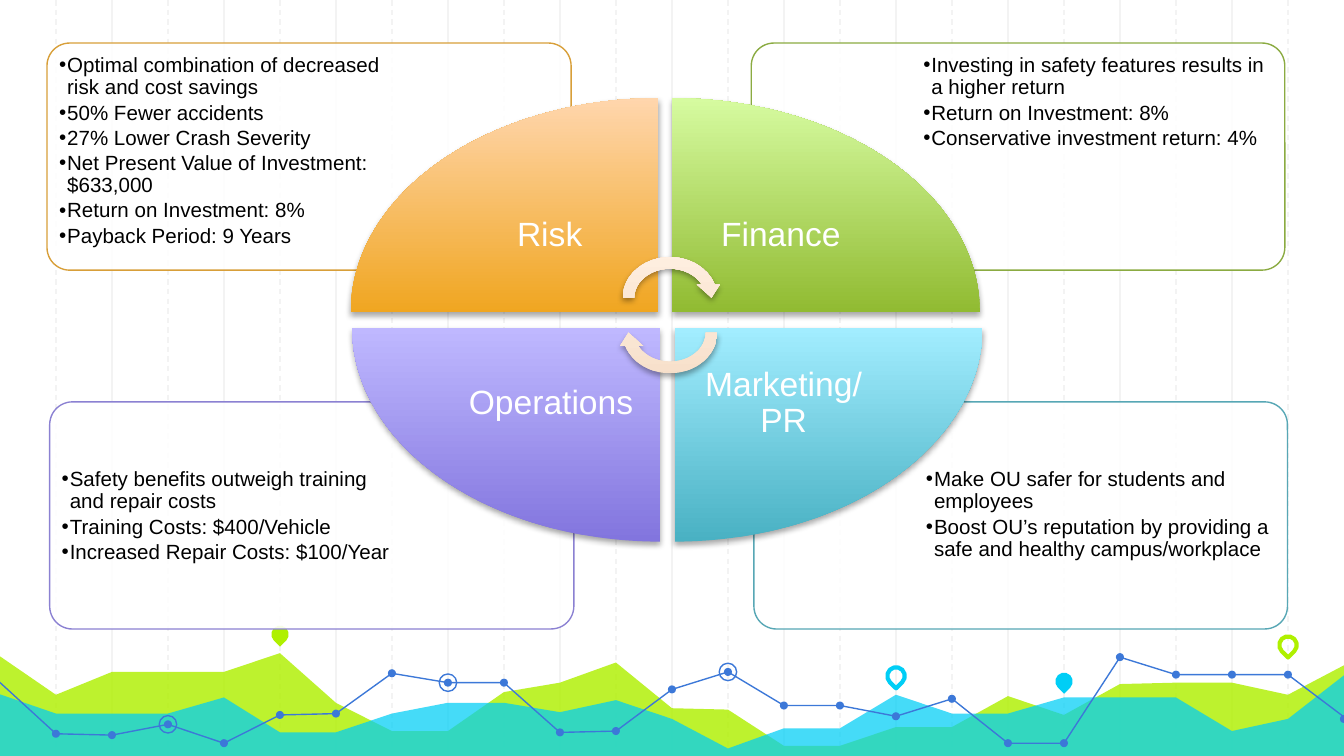
"""Build a slide on four benefits of safety features around a cycle."""
from lxml import etree
from pptx import Presentation
from pptx.dml.color import RGBColor
from pptx.enum.dml import MSO_LINE
from pptx.enum.shapes import MSO_CONNECTOR, MSO_SHAPE
from pptx.enum.text import MSO_ANCHOR, PP_ALIGN
from pptx.oxml.ns import qn
from pptx.util import Inches, Pt

STRAIGHT = MSO_CONNECTOR.STRAIGHT
ROUNDED, WEDGE = MSO_SHAPE.ROUNDED_RECTANGLE, MSO_SHAPE.PIE_WEDGE
ARROW, DROP, OVAL = MSO_SHAPE.CIRCULAR_ARROW, MSO_SHAPE.TEAR, MSO_SHAPE.OVAL
DASH = MSO_LINE.DASH
MIDDLE, TOP = MSO_ANCHOR.MIDDLE, MSO_ANCHOR.TOP
CENTER, LEFT = PP_ALIGN.CENTER, PP_ALIGN.LEFT

THEME = {
    "font": "Arial", "title_size": 18, "body_size": 11,
    "title": "FFFFFF", "body": "000000", "panel": "FFFFFF",
    "grid": "F3F3F3", "trend": "3C78D8", "lime": "AFF000", "cyan": "00CEF6",
    "arrow": ("F6DFC9", "FFEFE1"), "shadow": "000000",
}

QUADRANTS = [
    {"title": "Risk", "wedge": (2.61, 0.73), "turn": 0, "panel": (0.35, 0.32, 3.9),
     "outline": "D89F39", "shades": ("F0A621", "FFD6AD"),
     "points": ["Optimal combination of decreased risk and cost savings",
                "50% Fewer accidents", "27% Lower Crash Severity",
                "Net Present Value of Investment: $633,000",
                "Return on Investment: 8%", "Payback Period: 9 Years"]},
    {"title": "Finance", "wedge": (5, 0.73), "turn": 90, "panel": (5.59, 0.32, 3.97),
     "outline": "8BAB42", "shades": ("91BB32", "D6FBA0"),
     "points": ["Investing in safety features results in a higher return",
                "Return on Investment: 8%", "Conservative investment return: 4%"]},
    {"title": "Operations", "wedge": (2.62, 2.44), "turn": 270, "panel": (0.37, 2.99, 3.9),
     "outline": "8B81D2", "shades": ("8275DE", "BFB8FF"),
     "points": ["Safety benefits outweigh training and repair costs",
                "Training Costs: $400/Vehicle", "Increased Repair Costs: $100/Year"]},
    {"title": "Marketing/ PR", "wedge": (5.02, 2.44), "turn": 180, "panel": (5.61, 2.99, 3.97),
     "outline": "57A7B5", "shades": ("49B1C3", "A2EDFF"),
     "points": ["Make OU safer for students and employees",
                "Boost OU’s reputation by providing a safe and healthy campus/workplace"]},
]
HILLS = [
    ("lime", 82, [4.87, 5.17, 5, 5, 5, 4.86, 5.23, 5.44, 5.44, 5.15, 5.08, 4.93, 5.27,
                  5.28, 5.55, 5.55, 5.41, 5.41, 5.18, 5.32, 5.09, 5.08, 5.08, 5.17, 4.94]),
    ("cyan", 73, [5.16, 5.31, 5.31, 5.31, 5.19, 5.45, 5.45, 5.31, 5.23, 5.23, 5.3, 5.21, 5.35,
                  5.57, 5.42, 5.42, 5.17, 5.31, 5.31, 5.19, 5.19, 5.19, 5.44, 5.35, 5.01]),
]
TREND = [5.06, 5.46, 5.47, 5.39, 5.53, 5.32, 5.31, 5.01, 5.08, 5.08, 5.45, 5.44, 5.13,
         5, 5.25, 5.25, 5.33, 5.2, 5.53, 5.53, 4.89, 5.02, 5.02, 5.02, 5.35]
TREND_PARTS = [(0, 11), (11, 20), (20, 24)]
RINGED = [8, 3, 13]
DROPS = [(5, 4.72, "lime", True), (16, 5.03, "cyan", False),
         (19, 5.07, "cyan", True), (23, 4.8, "lime", False)]
SLIDE_W, SLIDE_H = 10, 10 * 9 / 16
STEP, LAST, OVERHANG, FLOOR = SLIDE_W / 24, 24, 0.02, 5.65
WEDGE_W, WEDGE_H, TITLE_W, TITLE_H = 2.29, 1.59, 1.62, 1.13
PANEL_H, PANEL_PAD, POINTS_H = 1.69, 0.04, 1.2

deck = Presentation()
deck.slide_width, deck.slide_height = Inches(SLIDE_W), Inches(SLIDE_H)
shapes = deck.slides.add_slide(deck.slide_layouts[6]).shapes


def rgb(code):
    return RGBColor.from_string(code)


def paint(shape, fill=None, alpha=100, outline=None, width=0.75):
    shape.shadow.inherit = False
    if fill:
        shape.fill.solid()
        shape.fill.fore_color.rgb = rgb(fill)
        if alpha < 100:
            tint = shape._element.spPr.find(qn("a:solidFill"))[0]
            etree.SubElement(tint, qn("a:alpha"), val=str(alpha * 1000))
    else:
        shape.fill.background()
    if outline:
        shape.line.color.rgb = rgb(outline)
        shape.line.width = Pt(width)
    else:
        shape.line.fill.background()


def shade(shape, shades):
    paint(shape)
    shape.fill.gradient()
    shape.fill.gradient_angle = 90
    for stop, code in zip(shape.fill.gradient_stops, shades):
        stop.color.rgb = rgb(code)
    properties = shape._element.spPr
    properties.find(qn("a:gradFill")).set("rotWithShape", "0")
    cast = etree.SubElement(properties.find(qn("a:effectLst")), qn("a:outerShdw"), blurRad="40000",
                            dist="23000", dir="5400000", rotWithShape="0")
    tint = etree.SubElement(cast, qn("a:srgbClr"), val=THEME["shadow"])
    etree.SubElement(tint, qn("a:alpha"), val="35000")


def place(kind, left, top, width, height, turn=0):
    if turn in (90, 270):
        left, top = left + (width - height) / 2, top + (height - width) / 2
        width, height = height, width
    shape = shapes.add_shape(kind, Inches(left), Inches(top), Inches(width), Inches(height))
    shape.rotation = turn
    return shape


def centered(kind, x, y, size, turn=0):
    return place(kind, x - size / 2, y - size / 2, size, size, turn)


def outline_through(points, close):
    corners = [(Inches(x), Inches(y)) for x, y in points]
    builder = shapes.build_freeform(*corners[0])
    builder.add_line_segments(corners[1:], close=close)
    return builder.convert_to_shape()


def along(index):
    return STEP * index + {0: -OVERHANG, LAST: OVERHANG}.get(index, 0)


def write(lines, left, top, width, height, role, inset, after, anchor, align, bullets=False):
    box = shapes.add_textbox(Inches(left), Inches(top), Inches(width), Inches(height))
    frame = box.text_frame
    frame.text = "\n".join(lines)
    frame.word_wrap = True
    frame.vertical_anchor = anchor
    frame.margin_left = frame.margin_right = frame.margin_top = frame.margin_bottom = Inches(inset)
    for paragraph in frame.paragraphs:
        paragraph.alignment = align
        paragraph.line_spacing = 0.9
        paragraph.space_after = Pt(after)
        if bullets:
            settings = paragraph._p.get_or_add_pPr()
            settings.set("marL", str(Inches(0.06)))
            settings.set("indent", str(-Inches(0.06)))
            etree.SubElement(settings, qn("a:buFont"), typeface=THEME["font"])
            etree.SubElement(settings, qn("a:buChar"), char="•")
        for run in paragraph.runs:
            run.font.name = THEME["font"]
            run.font.size = Pt(THEME[role + "_size"])
            run.font.color.rgb = rgb(THEME[role])


for first, dash in ((2, None), (1, DASH)):
    for index in range(first, LAST, 2):
        x = Inches(STEP * index)
        rule = shapes.add_connector(STRAIGHT, x, 0, x, Inches(FLOOR))
        rule.line.color.rgb = rgb(THEME["grid"])
        rule.line.width = Pt(0.75)
        rule.line.dash_style = dash
        etree.SubElement(rule._element.spPr, qn("a:effectLst"))

for color, alpha, heights in HILLS:
    crest = [(along(index), y) for index, y in enumerate(heights)]
    base = [(along(LAST), FLOOR), (along(0), FLOOR)]
    paint(outline_through(crest + base, True), THEME[color], alpha)

for index, y, color, solid in DROPS[:3]:
    drop = centered(DROP, STEP * index, y, 0.13, 135)
    paint(drop, THEME[color] if solid else None, outline=None if solid else THEME[color], width=2.25)
for start, end in TREND_PARTS:
    stretch = [(along(index), TREND[index]) for index in range(start, end + 1)]
    paint(outline_through(stretch, False), outline=THEME["trend"])
for index in range(1, LAST + 1):
    paint(centered(OVAL, STEP * index, TREND[index], 0.06), THEME["trend"])
for index in RINGED:
    paint(centered(OVAL, STEP * index, TREND[index], 0.13), outline=THEME["trend"])
for index, y, color, solid in DROPS[3:]:
    paint(centered(DROP, STEP * index, y, 0.13, 135), outline=THEME[color], width=2.25)

for quadrant in reversed(QUADRANTS):
    left, top, width = quadrant["panel"]
    panel = place(ROUNDED, left, top, width, PANEL_H)
    panel.adjustments[0] = 0.1
    paint(panel, THEME["panel"], 90, quadrant["outline"])
    on_right, on_bottom = left > 5, top > 2
    points_w = 2.7 if on_right else 2.66
    points_left = left + (width - PANEL_PAD - points_w if on_right else PANEL_PAD)
    points_top = top + (PANEL_H - PANEL_PAD - POINTS_H if on_bottom else PANEL_PAD)
    write(quadrant["points"], points_left, points_top, points_w, POINTS_H,
          "body", 0.05, 1.65, TOP, LEFT, bullets=True)

for quadrant in QUADRANTS:
    left, top = quadrant["wedge"]
    shade(place(WEDGE, left, top, WEDGE_W, WEDGE_H, quadrant["turn"]), quadrant["shades"])
    title_left = left if left >= 5 else left + WEDGE_W - TITLE_W
    title_top = top if top > 2 else top + WEDGE_H - TITLE_H
    write([quadrant["title"]], title_left, title_top, TITLE_W, TITLE_H,
          "title", 0.14, 6.3, MIDDLE, CENTER)

for top, turn in ((1.87, 0), (2.13, 180)):
    shade(place(ARROW, 4.59, top, 0.79, 0.69, turn), THEME["arrow"])

deck.save("out.pptx")
